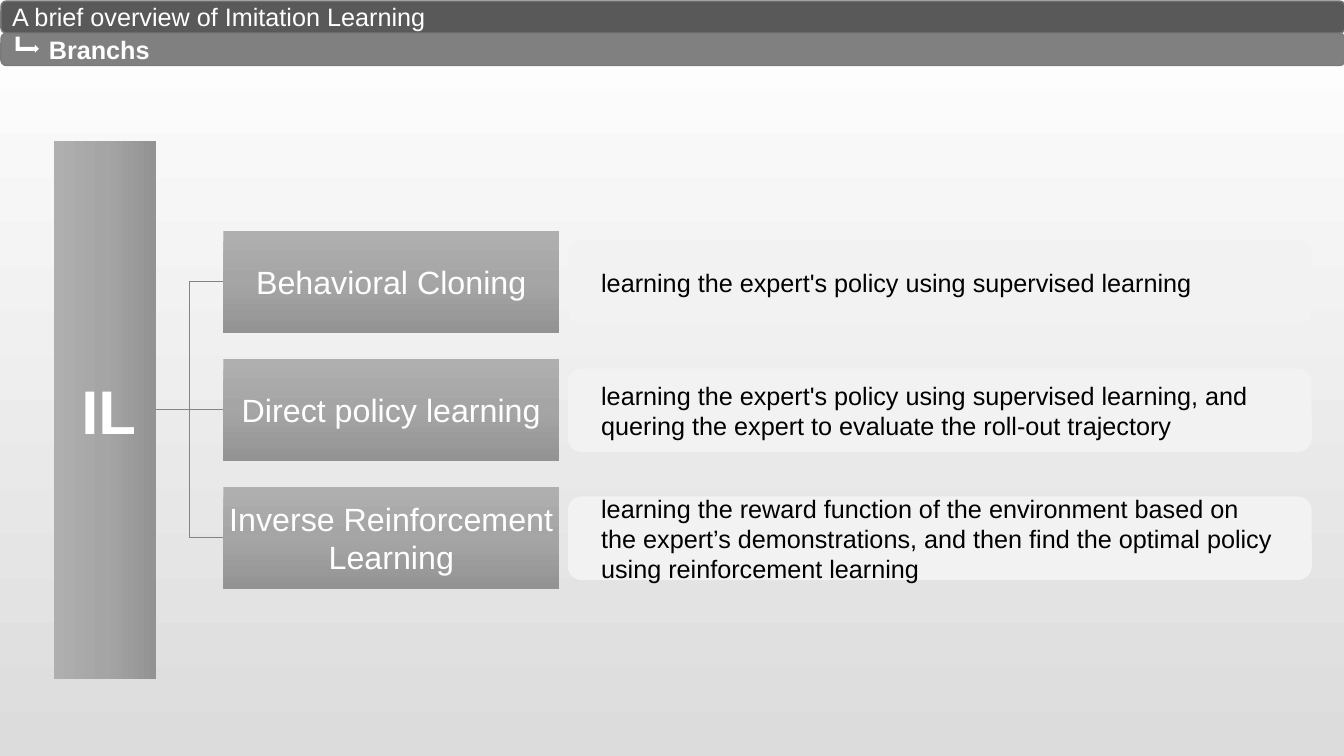
from copy import deepcopy
from dataclasses import dataclass

from lxml.etree import SubElement
from pptx import Presentation
from pptx.dml.color import RGBColor
from pptx.dml.fill import FillFormat
from pptx.enum.shapes import MSO_CONNECTOR as Connector, MSO_SHAPE as Preset
from pptx.enum.text import MSO_ANCHOR as Anchor, MSO_AUTO_SIZE as AutoSize, PP_ALIGN as Align
from pptx.oxml.ns import qn
from pptx.shapes.autoshape import Shape
from pptx.slide import Slide
from pptx.text.text import TextFrame
from pptx.util import Emu, Inches, Pt

SLIDE_WIDTH, SLIDE_HEIGHT = Inches(13.33), Inches(7.5)
COLUMNS, ROWS = 40, 30
BOX_GRADIENT = ("AFAFAF", "A5A5A5", "939393")
TITLE_ONLY = 5
BAR_HEIGHT = 1.28
TREE_MIDDLE = 16.26
BRANCH_PITCH = 5.08


@dataclass(frozen=True)
class Area:
    """A rectangle in grid columns and rows."""
    left: float
    top: float
    width: float
    height: float

    @property
    def right(self) -> float:
        return self.left + self.width

    @property
    def middle(self) -> float:
        return self.top + self.height / 2

    def lengths(self) -> tuple[Emu, Emu, Emu, Emu]:
        return column(self.left), row(self.top), column(self.width), row(self.height)


@dataclass(frozen=True)
class Branch:
    name: str
    description: str


@dataclass(frozen=True)
class TextStyle:
    size: float
    color: str = "FFFFFF"
    bold: bool = False
    align: Align = Align.LEFT
    left: float = 0.1
    right: float = 0.1


BRANCHES = (
    Branch("Behavioral Cloning", "learning the expert's policy using supervised learning"),
    Branch("Direct policy learning",
           "learning the expert's policy using supervised learning, "
           "and quering the expert to evaluate the roll-out trajectory"),
    Branch("Inverse Reinforcement Learning",
           "learning the reward function of the environment based on the expert’s "
           "demonstrations, and then find the optimal policy using reinforcement learning"),
)
TITLE_STYLE = TextStyle(18)
SUBTITLE_STYLE = TextStyle(18, bold=True, left=0.46)
ROOT_STYLE = TextStyle(44, bold=True, align=Align.CENTER, left=0.1, right=0.02)
BRANCH_STYLE = TextStyle(23, align=Align.CENTER, left=0.02, right=0.02)
CARD_STYLE = TextStyle(18, "000000", left=0.29, right=0.29)


def column(count: float) -> Emu:
    return Emu(round(SLIDE_WIDTH * count / COLUMNS))


def row(count: float) -> Emu:
    return Emu(round(SLIDE_HEIGHT * count / ROWS))


def rgb(color: str) -> RGBColor:
    return RGBColor.from_string(color)


def set_gradient(fill: FillFormat, owner, colors: tuple[str, ...], angle: float) -> None:
    """Spread the colours evenly; owner is the XML element that holds the fill."""
    fill.gradient()
    fill.gradient_angle = angle
    stop_list = next(owner.iter(qn("a:gsLst")))
    for _ in colors[2:]:
        stop_list.append(deepcopy(stop_list[0]))
    for index, (stop, color) in enumerate(zip(fill.gradient_stops, colors)):
        stop.position = index / (len(colors) - 1)
        stop.color.rgb = rgb(color)


def write(frame: TextFrame, text: str, style: TextStyle) -> None:
    frame.text = text
    frame.word_wrap = True
    frame.auto_size = AutoSize.NONE
    frame.vertical_anchor = Anchor.MIDDLE
    frame.margin_left, frame.margin_right = Inches(style.left), Inches(style.right)
    frame.margin_top = frame.margin_bottom = 0
    paragraph = frame.paragraphs[0]
    paragraph.alignment = style.align
    font = paragraph.runs[0].font
    font.name, font.size, font.bold = "Arial", Pt(style.size), style.bold
    font.color.rgb = rgb(style.color)


def add_shape(slide: Slide, preset: Preset, area: Area, fill: str | None = None,
              line: str | None = None) -> Shape:
    shape = slide.shapes.add_shape(preset, *area.lengths())
    shape.shadow.inherit = False
    if fill:
        shape.fill.solid()
        shape.fill.fore_color.rgb = rgb(fill)
    if line:
        shape.line.color.rgb = rgb(line)
        shape.line.width = Pt(1)
    else:
        shape.line.fill.background()
    return shape


def add_gradient_box(slide: Slide, area: Area, angle: float, text: str, style: TextStyle) -> None:
    box = add_shape(slide, Preset.RECTANGLE, area)
    set_gradient(box.fill, box.element, BOX_GRADIENT, angle)
    write(box.text_frame, text, style)


def add_link(slide: Slide, start: Area, end: Area) -> None:
    """Join the right side of one box to the left side of another."""
    level = abs(start.middle - end.middle) < 0.1
    link = slide.shapes.add_connector(
        Connector.STRAIGHT if level else Connector.ELBOW,
        column(start.right), row(start.middle),
        column(end.left), row(start.middle if level else end.middle))
    link.line.color.rgb = rgb("848484")
    link.line.width = Pt(0.5)
    SubElement(link.element.spPr, qn("a:effectLst"))


def add_header(slide: Slide) -> None:
    title_bar, subtitle_bar = (
        add_shape(slide, Preset.ROUNDED_RECTANGLE,
                  Area(0.03, 0.04 + index * BAR_HEIGHT, COLUMNS, BAR_HEIGHT), fill, "7A7A7A")
        for index, fill in enumerate(("595959", "808080")))
    title = slide.shapes.title
    title.left, title.top, title.width, title.height = Area(0.06, 0, 21.75, 1.3).lengths()
    write(title.text_frame, "A brief overview of Imitation Learning", TITLE_STYLE)
    title_bar.element.addnext(title.element)
    write(subtitle_bar.text_frame, "Branchs", SUBTITLE_STYLE)
    arrow = add_shape(slide, Preset.BENT_UP_ARROW, Area(0.57, 1.32, 0.48, 0.92), "FFFFFF")
    arrow.rotation = 90


def add_tree(slide: Slide) -> None:
    root = Area(1.6, TREE_MIDDLE - 10.68, 3.04, 21.36)
    add_gradient_box(slide, root, 0, "IL", ROOT_STYLE)
    for index, branch in enumerate(BRANCHES):
        middle = TREE_MIDDLE + (index - 1) * BRANCH_PITCH
        box = Area(6.65, middle - 2.03, 10, 4.06)
        add_link(slide, root, box)
        add_gradient_box(slide, box, 270, branch.name, BRANCH_STYLE)
        card = add_shape(slide, Preset.ROUNDED_RECTANGLE,
                         Area(16.9, middle - 1.64, 22.14, 3.32), "F2F2F2")
        write(card.text_frame, branch.description, CARD_STYLE)


def main() -> None:
    presentation = Presentation()
    presentation.slide_width, presentation.slide_height = SLIDE_WIDTH, SLIDE_HEIGHT
    slide = presentation.slides.add_slide(presentation.slide_layouts[TITLE_ONLY])
    set_gradient(slide.background.fill, slide.element, ("FFFFFF", "DCDCDC"), 270)
    add_header(slide)
    add_tree(slide)
    presentation.save("out.pptx")


if __name__ == "__main__":
    main()
